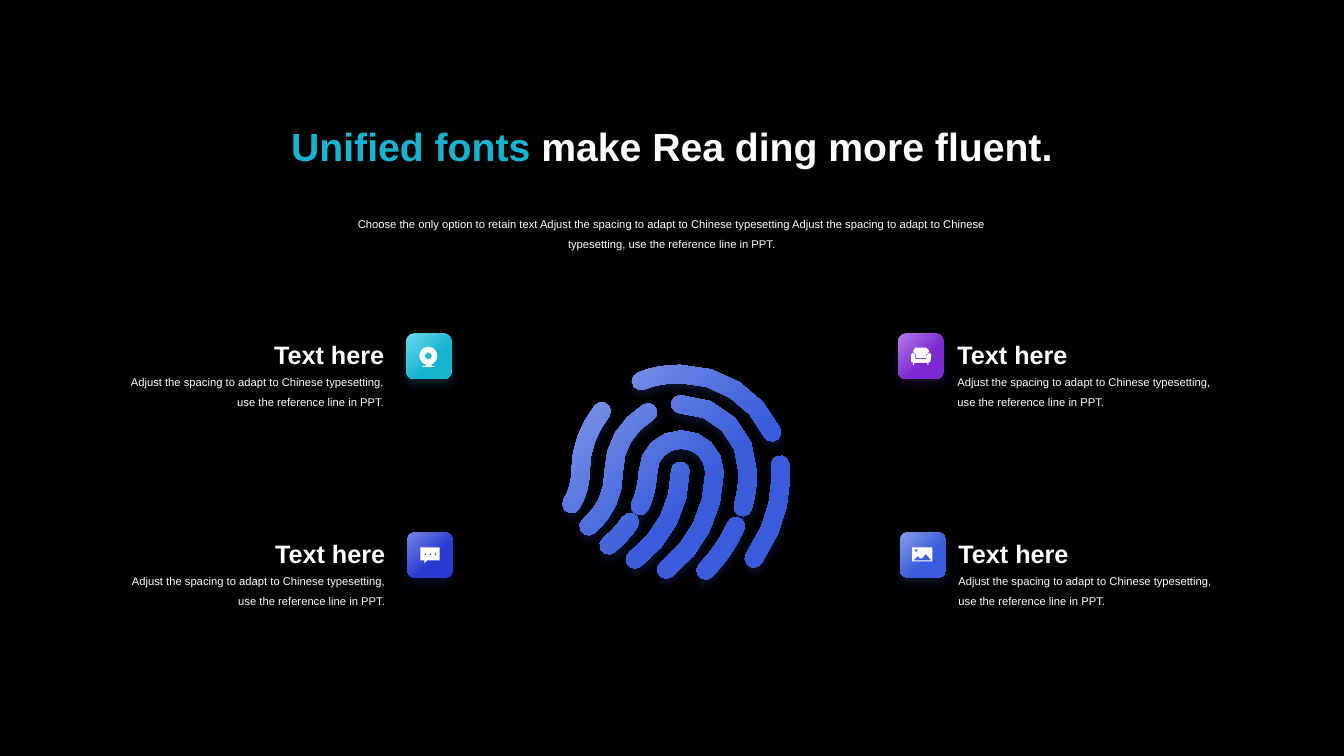
from dataclasses import dataclass
from math import atan2, cos, pi, sin

from lxml.etree import SubElement
from pptx import Presentation
from pptx.dml.color import RGBColor
from pptx.enum.shapes import MSO_SHAPE
from pptx.enum.text import MSO_ANCHOR, MSO_AUTO_SIZE, PP_ALIGN
from pptx.oxml.ns import qn
from pptx.shapes.autoshape import Shape
from pptx.slide import Slide
from pptx.util import Emu, Pt

Point = tuple[float, float]
Contour = list[Point]


@dataclass(frozen=True)
class Theme:
    font: str = "Arial"
    background: str = "000000"
    text: str = "FFFFFF"
    cyan: tuple[str, str] = ("69DAEE", "17B4D1")
    purple: tuple[str, str] = ("B17DE5", "7D29D1")
    indigo: tuple[str, str] = ("7886E6", "263BCE")
    blue: tuple[str, str] = ("889EE9", "395DDB")
    title_size: int = 28
    heading_size: int = 18
    body_size: int = 8


@dataclass(frozen=True)
class Feature:
    tile_left: int
    text_left: int
    top: int
    align: PP_ALIGN
    colors: tuple[str, str]
    icon: list[Contour]


THEME = Theme()
TILE = 45
TEXT_WIDTH = 275
RIDGE_RADIUS = 9
FEATURE_HEADING = "Text here"
FEATURE_BODY = "Adjust the spacing to adapt to Chinese typesetting, use the reference line in PPT."
INTRO = ("Choose the only option to retain text Adjust the spacing to adapt to Chinese typesetting "
         "Adjust the spacing to adapt to Chinese typesetting, use the reference line in PPT.")


def px(length: float) -> Emu:
    """One px is a hundredth of an inch."""
    return Emu(round(length * 9144))


def arc(center: Point, radius: float, start: float, sweep: float, steps: int = 5) -> Contour:
    angles = [start + sweep * step / steps for step in range(steps + 1)]
    return [(center[0] + radius * cos(a), center[1] + radius * sin(a)) for a in angles]


def disc(x: int, y: int, diameter: int) -> Contour:
    return arc((x, y), diameter / 2, 0, 2 * pi, max(6, diameter))


# Icons, measured from the corner of their tile
WEBCAM = [disc(22, 22, 18), disc(22, 22, 7),
          [(20, 31), (25, 31), (26, 32), (28, 32), (28, 33), (16, 33), (16, 32), (19, 32)]]
SOFA = [[(17, 14), (28, 14), (31, 17), (30, 19), (28, 21), (28, 24), (18, 24), (18, 21), (16, 19), (15, 17)],
        [(14, 19), (15, 19), (17, 21), (17, 25), (28, 25), (29, 21), (31, 19), (33, 21), (32, 28), (30, 29),
         (30, 31), (29, 31), (29, 29), (16, 29), (16, 31), (15, 31), (15, 29), (13, 28), (13, 21)]]
CHAT = [[(13, 15), (32, 15), (32, 28), (20, 28), (17, 31), (17, 28), (13, 28)],
        *(disc(x, 22, 2) for x in (18, 23, 28))]
PHOTO = [[(12, 15), (32, 15), (32, 29), (12, 29)], disc(16, 18, 3),
         [(13, 28), (17, 24), (18, 24), (20, 26), (22, 26), (25, 22), (26, 22), (31, 28)]]

FEATURES = [
    Feature(403, 116, 331, PP_ALIGN.RIGHT, THEME.cyan, WEBCAM),
    Feature(404, 117, 528, PP_ALIGN.RIGHT, THEME.indigo, CHAT),
    Feature(891, 940, 331, PP_ALIGN.LEFT, THEME.purple, SOFA),
    Feature(893, 941, 528, PP_ALIGN.LEFT, THEME.blue, PHOTO),
]

# Fingerprint ridges: centre lines of joined cubic curves
RIDGES: list[Contour] = [
    [(636, 378), (648, 373), (661, 371), (675, 371), (714, 371), (750, 394), (766, 429)],
    [(774, 461), (775, 484), (775, 514), (748, 554)],
    [(643, 409), (622, 422), (609, 443), (609, 467), (609, 489), (601, 508), (584, 522)],
    [(730, 522), (723, 538), (713, 553), (700, 566)],
    [(675, 401), (713, 401), (742, 431), (742, 469), (742, 481), (740, 492), (737, 503)],
    [(635, 502), (640, 492), (642, 480), (643, 468), (643, 450), (658, 436), (676, 436),
     (694, 436), (709, 450), (709, 469), (708, 508), (691, 542), (661, 565)],
    [(675, 467), (675, 502), (658, 534), (630, 555)],
    [(625, 518), (619, 527), (612, 534), (604, 541)],
    [(597, 408), (584, 425), (576, 445), (576, 467), (576, 479), (573, 490), (567, 500)],
]


def heading(start: Point, end: Point) -> float:
    return atan2(end[1] - start[1], end[0] - start[0])


def ridge_outline(controls: Contour, steps: int = 4) -> Contour:
    """Widen a centre line into a band with round ends."""
    left: Contour = []
    right: Contour = []
    for first in range(0, len(controls) - 1, 3):
        a, b, c, d = controls[first:first + 4]
        for step in range(1, steps + 1):
            t = step / steps
            u = 1 - t
            x, y = (u**3 * a[i] + 3 * u * u * t * b[i] + 3 * u * t * t * c[i] + t**3 * d[i] for i in (0, 1))
            dx, dy = (u * u * (b[i] - a[i]) + 2 * u * t * (c[i] - b[i]) + t * t * (d[i] - c[i]) for i in (0, 1))
            normal = atan2(dy, dx) + pi / 2
            across, down = RIDGE_RADIUS * cos(normal), RIDGE_RADIUS * sin(normal)
            left.append((x + across, y + down))
            right.append((x - across, y - down))
    end_cap = arc(controls[-1], RIDGE_RADIUS, heading(controls[-2], controls[-1]) + pi / 2, -pi)
    start_cap = arc(controls[0], RIDGE_RADIUS, heading(controls[0], controls[1]) - pi / 2, -pi)
    return left[:-1] + end_cap + right[-2::-1] + start_cap


def add_outline(slide: Slide, contours: list[Contour], left: int = 0, top: int = 0) -> Shape:
    placed = [[(px(left + x), px(top + y)) for x, y in contour] for contour in contours]
    builder = slide.shapes.build_freeform(*placed[0][0])
    for number, contour in enumerate(placed):
        if number:
            builder.move_to(*contour[0])
        builder.add_line_segments(contour[1:], close=True)
    outline = builder.convert_to_shape()
    outline.shadow.inherit = False
    outline.line.fill.background()
    return outline


def add_glow(shape: Shape, colors: tuple[str, str]) -> None:
    """Diagonal gradient with a soft shadow of its darker colour."""
    shape.line.fill.background()
    shape.fill.gradient()
    shape.fill.gradient_angle = 315
    for stop, color, position in zip(shape.fill.gradient_stops, colors, (0, 0.6)):
        stop.color.rgb = RGBColor.from_string(color)
        stop.position = position
    shape.shadow.inherit = False
    effects = shape._element.spPr.find(qn("a:effectLst"))
    shadow = SubElement(effects, qn("a:outerShdw"), blurRad=str(Pt(6)), dist=str(Pt(4)),
                        dir="5400000", algn="t", rotWithShape="0")
    tint = SubElement(shadow, qn("a:srgbClr"), val=colors[1])
    SubElement(tint, qn("a:alpha"), val="20000")


def write(box: Shape, bounds: tuple[int, int, int, int], runs: list[tuple[str, str]], size: int,
          align: PP_ALIGN, bold: bool = False, spacing: float = 1.0,
          anchor: MSO_ANCHOR = MSO_ANCHOR.TOP) -> None:
    box.left, box.top, box.width, box.height = map(px, bounds)
    frame = box.text_frame
    paragraph = frame.paragraphs[0]
    formats = [
        (frame, {"word_wrap": True, "auto_size": MSO_AUTO_SIZE.SHAPE_TO_FIT_TEXT, "vertical_anchor": anchor}),
        (paragraph, {"alignment": align, "line_spacing": spacing, "space_before": Pt(0)}),
    ]
    for text, color in runs:
        run = paragraph.add_run()
        run.text = text
        run.font.color.rgb = RGBColor.from_string(color)
        formats.append((run.font, {"name": THEME.font, "size": Pt(size), "bold": bold}))
    for target, values in formats:
        for attribute, value in values.items():
            setattr(target, attribute, value)


def add_text(slide: Slide, bounds: tuple[int, int, int, int], text: str, size: int,
             align: PP_ALIGN, **options) -> None:
    box = slide.shapes.add_textbox(*map(px, bounds))
    write(box, bounds, [(text, THEME.text)], size, align, **options)


def add_feature(slide: Slide, feature: Feature) -> None:
    add_text(slide, (feature.text_left, feature.top + 30, TEXT_WIDTH, 48), FEATURE_BODY,
             THEME.body_size, feature.align, spacing=1.5)
    add_text(slide, (feature.text_left, feature.top + 1, TEXT_WIDTH, 40), FEATURE_HEADING,
             THEME.heading_size, feature.align, bold=True, anchor=MSO_ANCHOR.MIDDLE)
    tile = slide.shapes.add_shape(MSO_SHAPE.ROUNDED_RECTANGLE,
                                  *map(px, (feature.tile_left, feature.top, TILE, TILE)))
    add_glow(tile, feature.colors)
    icon = add_outline(slide, feature.icon, feature.tile_left, feature.top)
    icon.fill.solid()
    icon.fill.fore_color.rgb = RGBColor.from_string(THEME.text)


def main() -> None:
    deck = Presentation()
    deck.slide_width, deck.slide_height = Emu(12192000), px(750)
    slide = deck.slides.add_slide(deck.slide_layouts[5])
    slide.background.fill.solid()
    slide.background.fill.fore_color.rgb = RGBColor.from_string(THEME.background)
    # Title and introduction
    headline = [("Unified fonts ", THEME.cyan[1]), ("make Rea ding more fluent.", THEME.text)]
    write(slide.shapes.title, (222, 116, 889, 57), headline, THEME.title_size, PP_ALIGN.CENTER, bold=True)
    add_text(slide, (319, 204, 695, 48), INTRO, THEME.body_size, PP_ALIGN.CENTER, spacing=1.5)
    # Fingerprint and the features around it
    add_glow(add_outline(slide, [ridge_outline(ridge) for ridge in RIDGES]), THEME.blue)
    for feature in FEATURES:
        add_feature(slide, feature)
    deck.save("out.pptx")


if __name__ == "__main__":
    main()
